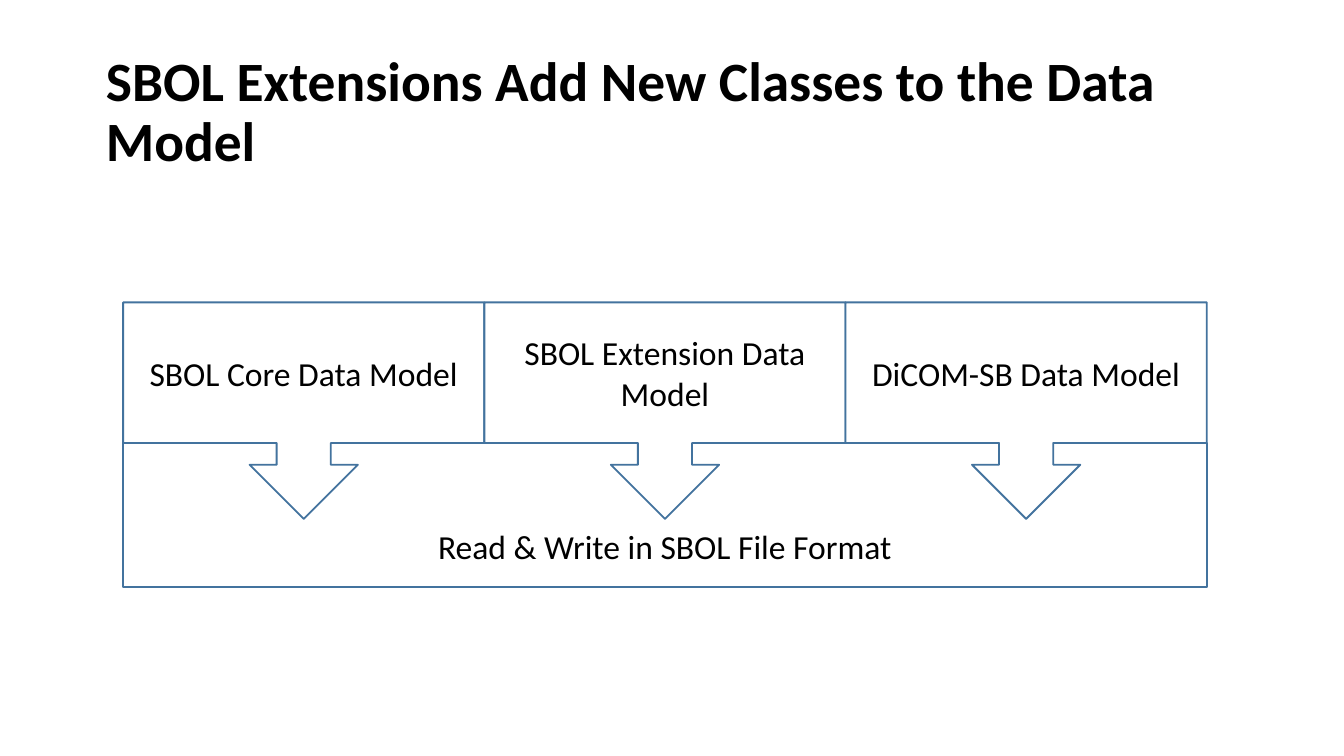
from pptx import Presentation
from pptx.dml.color import RGBColor
from pptx.enum.shapes import MSO_SHAPE
from pptx.enum.text import MSO_ANCHOR, MSO_AUTO_SIZE, PP_ALIGN
from pptx.util import Pt

RECTANGLE = MSO_SHAPE.RECTANGLE
CALLOUT = MSO_SHAPE.DOWN_ARROW_CALLOUT
MIDDLE = MSO_ANCHOR.MIDDLE
NO_FIT = MSO_AUTO_SIZE.NONE
LEFT, CENTER = PP_ALIGN.LEFT, PP_ALIGN.CENTER
COLORS = {"fill": "FFFFFF", "line": "43739E", "text": "000000"}
TITLE_FONT = {"name": "Calibri", "size": Pt(29.7), "bold": True}
LABEL_FONT = {"name": "Calibri", "size": Pt(18), "bold": False}


def write_text(shape, text, font, align):
    frame = shape.text_frame
    frame.word_wrap = True
    frame.auto_size = NO_FIT
    frame.vertical_anchor = MIDDLE
    paragraph = frame.paragraphs[0]
    paragraph.alignment = align
    span = paragraph.add_run()
    span.text = text
    for name, value in font.items():
        setattr(span.font, name, value)
    span.font.color.rgb = RGBColor.from_string(COLORS["text"])
    return frame


def add_box(page, kind, left, top, width, height, text):
    box = page.shapes.add_shape(kind, Pt(left), Pt(top), Pt(width), Pt(height))
    box.shadow.inherit = False
    box.fill.solid()
    box.fill.fore_color.rgb = RGBColor.from_string(COLORS["fill"])
    box.line.color.rgb = RGBColor.from_string(COLORS["line"])
    box.line.width = Pt(1)
    return write_text(box, text, LABEL_FONT, CENTER)


deck = Presentation()
deck.slide_width, deck.slide_height = Pt(720), Pt(405)
page = deck.slides.add_slide(deck.slide_layouts[5])

# Title
title = page.shapes.title
title.left, title.top, title.width, title.height = Pt(49.5), Pt(21.6), Pt(621), Pt(78.3)
frame = write_text(title, "SBOL Extensions Add New Classes to the Data Model", TITLE_FONT, LEFT)
frame.paragraphs[0].line_spacing = 0.9

# File format base, its label set below the arrow tips
row_left, model_width = 66, 193.5
frame = add_box(page, RECTANGLE, row_left, 237.2, 3 * model_width, 77.3,
                "Read & Write in SBOL File Format")
frame.margin_top = Pt(37)

# Data models pointing down into the base
models = ["SBOL Core Data Model", "SBOL Extension Data Model", "DiCOM-SB Data Model"]
for index, model in enumerate(models):
    add_box(page, CALLOUT, row_left + index * model_width, 162, model_width, 116, model)

deck.save("out.pptx")
